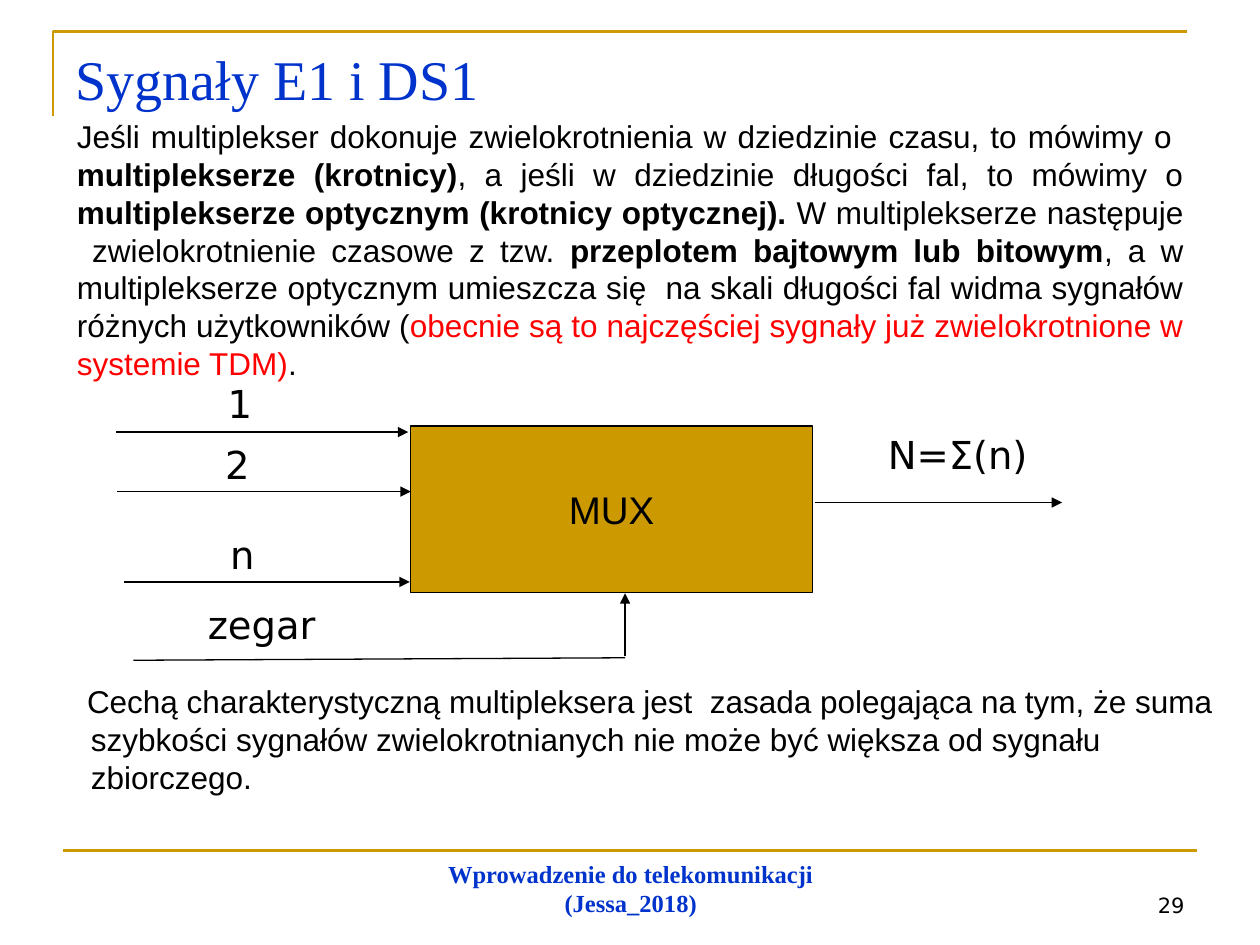
"""Build the slide on E1 and DS1 signals with a multiplexer diagram."""
import pptx
import pptx.dml.color
import pptx.enum.shapes
import pptx.enum.text
import pptx.oxml
import pptx.oxml.ns
import pptx.util

Cm = pptx.util.Cm
ALIGN = pptx.enum.text.PP_ALIGN
ANCHOR = pptx.enum.text.MSO_ANCHOR

THEME = {
    "accent": "CC9900",
    "ink": "000000",
    "rule": 1.5,
    "thin": 0.75,
    "title": {"name": "Times New Roman", "size": 32, "color": "0033CC", "bold": False},
    "body": {"name": "Arial", "size": 18, "color": "000000", "bold": False},
    "strong": {"name": "Arial", "size": 18, "color": "000000", "bold": True},
    "alert": {"name": "Arial", "size": 18, "color": "FF0000", "bold": False},
    "block": {"name": "Arial", "size": 22, "color": "000000", "bold": False},
    "label": {"name": "DejaVu Sans", "size": 22, "color": "000000", "bold": False},
    "number": {"name": "DejaVu Sans", "size": 12, "color": "000000", "bold": False},
    "footer": {"name": "Times New Roman", "size": 14, "color": "0033CC", "bold": True},
}

TITLE = [("Sygnały E1 i DS1", "title")]
INTRO = [
    ("Jeśli multiplekser dokonuje zwielokrotnienia w dziedzinie czasu, to mówimy o  ", "body"),
    ("multiplekserze (krotnicy)", "strong"),
    (", a jeśli w dziedzinie długości fal, to mówimy o ", "body"),
    ("multiplekserze optycznym (krotnicy optycznej). ", "strong"),
    ("W multiplekserze następuje  zwielokrotnienie czasowe z tzw. ", "body"),
    ("przeplotem bajtowym lub bitowym", "strong"),
    (", a w multiplekserze optycznym umieszcza się  na skali długości fal widma "
     "sygnałów różnych użytkowników (", "body"),
    ("obecnie są to najczęściej sygnały już zwielokrotnione w systemie TDM)", "alert"),
    (". ", "body"),
]
RULE_TEXT = [
    ("Cechą charakterystyczną multipleksera jest  zasada polegająca na tym, że suma "
     "szybkości sygnałów zwielokrotnianych nie może być większa od sygnału zbiorczego.", "body"),
]
FOOTER = [("Wprowadzenie do telekomunikacji (Jessa_2018)", "footer")]
NUMBER = [("29", "number")]

TITLE_BOX = (1.27, 0.76, 22.86, 3.18)
INTRO_BOX = (1.3, 2.24, 22.81, 5.64)
RULE_BOX = (0.61, 13.62, 24.16, 3.1)
FOOTER_BOX = (8.69, 17.35, 8.05, 1.27)
NUMBER_BOX = (18.21, 17.35, 5.92, 1.27)
MUX_BOX = (8.28, 8.59, 8.1, 3.35)
LABEL_HEIGHT = 1.19
LABELS = [
    ("1", 4.34, 7.54, 1.2),
    ("2", 4.29, 8.76, 1.35),
    ("n", 4.39, 10.59, 1.2),
    ("zegar", 3.94, 11.99, 2.92),
    ("N=Σ(n)", 17.65, 8.56, 3.8),
]
ARROWS = [
    (2.34, 8.71, 8.23, 8.71),
    (2.36, 9.91, 8.28, 9.91),
    (2.51, 11.73, 8.26, 11.73),
    (16.43, 10.13, 21.41, 10.13),
    (12.6, 13.23, 12.6, 11.96),
]
CLOCK_LINE = (2.69, 13.31, 12.6, 13.26)
FOOTER_RULE = (1.27, 17.15, 24.13, 17.15)
CORNER = [(1.07, 2.34), (1.07, 0.64), (23.93, 0.64)]


def rgb(code):
    return pptx.dml.color.RGBColor.from_string(code)


def place(sp, box):
    for name, value in zip(("left", "top", "width", "height"), box):
        setattr(sp, name, Cm(value))


def write(sp, runs, align=ALIGN.LEFT, anchor=ANCHOR.TOP):
    tf = sp.text_frame
    frame = {"word_wrap": True, "vertical_anchor": anchor,
             "auto_size": pptx.enum.text.MSO_AUTO_SIZE.NONE}
    for name, value in frame.items():
        setattr(tf, name, value)
    p = tf.paragraphs[0]
    p.alignment = align
    p.space_before = pptx.util.Pt(0)
    for text, style in runs:
        r = p.add_run()
        r.text = text
        look = THEME[style]
        values = {"name": look["name"], "size": pptx.util.Pt(look["size"]), "bold": look["bold"]}
        for name, value in values.items():
            setattr(r.font, name, value)
        r.font.color.rgb = rgb(look["color"])
    return p


def add_text(s, box, runs, **layout):
    sp = s.shapes.add_textbox(*map(Cm, box))
    write(sp, runs, **layout)


def style_line(line, color, width):
    line.color.rgb = rgb(color)
    line.width = pptx.util.Pt(width)


def add_line(s, ends, color=THEME["ink"], width=THEME["thin"], arrow=False):
    c = s.shapes.add_connector(pptx.enum.shapes.MSO_CONNECTOR.STRAIGHT, *map(Cm, ends))
    style_line(c.line, color, width)
    if arrow:
        head = pptx.oxml.parse_xml(
            f'<a:tailEnd {pptx.oxml.ns.nsdecls("a")} type="triangle"/>')
        c.line._get_or_add_ln().append(head)
    c._element.spPr.append(
        pptx.oxml.parse_xml(f'<a:effectLst {pptx.oxml.ns.nsdecls("a")}/>'))


def add_frame(s):
    points = [(Cm(x), Cm(y)) for x, y in CORNER]
    builder = s.shapes.build_freeform(*points[0])
    builder.add_line_segments(points[1:], close=False)
    sp = builder.convert_to_shape()
    sp.shadow.inherit = False
    sp.fill.background()
    style_line(sp.line, THEME["accent"], THEME["rule"])
    add_line(s, FOOTER_RULE, THEME["accent"], THEME["rule"])


def add_body(s):
    sp = s.placeholders[1]
    place(sp, RULE_BOX)
    p = write(sp, RULE_TEXT)
    pPr = p._p.get_or_add_pPr()
    pPr.set("marL", str(Cm(0.97)))
    pPr.set("indent", str(Cm(-0.08)))
    pPr.append(pptx.oxml.parse_xml(f'<a:buNone {pptx.oxml.ns.nsdecls("a")}/>'))


def add_diagram(s):
    mux = s.shapes.add_shape(pptx.enum.shapes.MSO_SHAPE.RECTANGLE, *map(Cm, MUX_BOX))
    mux.shadow.inherit = False
    mux.fill.solid()
    mux.fill.fore_color.rgb = rgb(THEME["accent"])
    style_line(mux.line, THEME["ink"], THEME["thin"])
    write(mux, [("MUX", "block")], align=ALIGN.CENTER, anchor=ANCHOR.MIDDLE)
    for ends in ARROWS:
        add_line(s, ends, arrow=True)
    add_line(s, CLOCK_LINE)
    for text, left, top, width in LABELS:
        add_text(s, (left, top, width, LABEL_HEIGHT), [(text, "label")])


def main():
    prs = pptx.Presentation()
    prs.slide_width, prs.slide_height = Cm(25.4), Cm(19.05)
    s = prs.slides.add_slide(prs.slide_layouts[1])
    place(s.shapes.title, TITLE_BOX)
    write(s.shapes.title, TITLE)
    add_frame(s)
    add_body(s)
    add_diagram(s)
    add_text(s, INTRO_BOX, INTRO, align=ALIGN.JUSTIFY)
    add_text(s, FOOTER_BOX, FOOTER, align=ALIGN.CENTER, anchor=ANCHOR.BOTTOM)
    add_text(s, NUMBER_BOX, NUMBER, align=ALIGN.RIGHT, anchor=ANCHOR.BOTTOM)
    prs.save("out.pptx")


if __name__ == "__main__":
    main()
